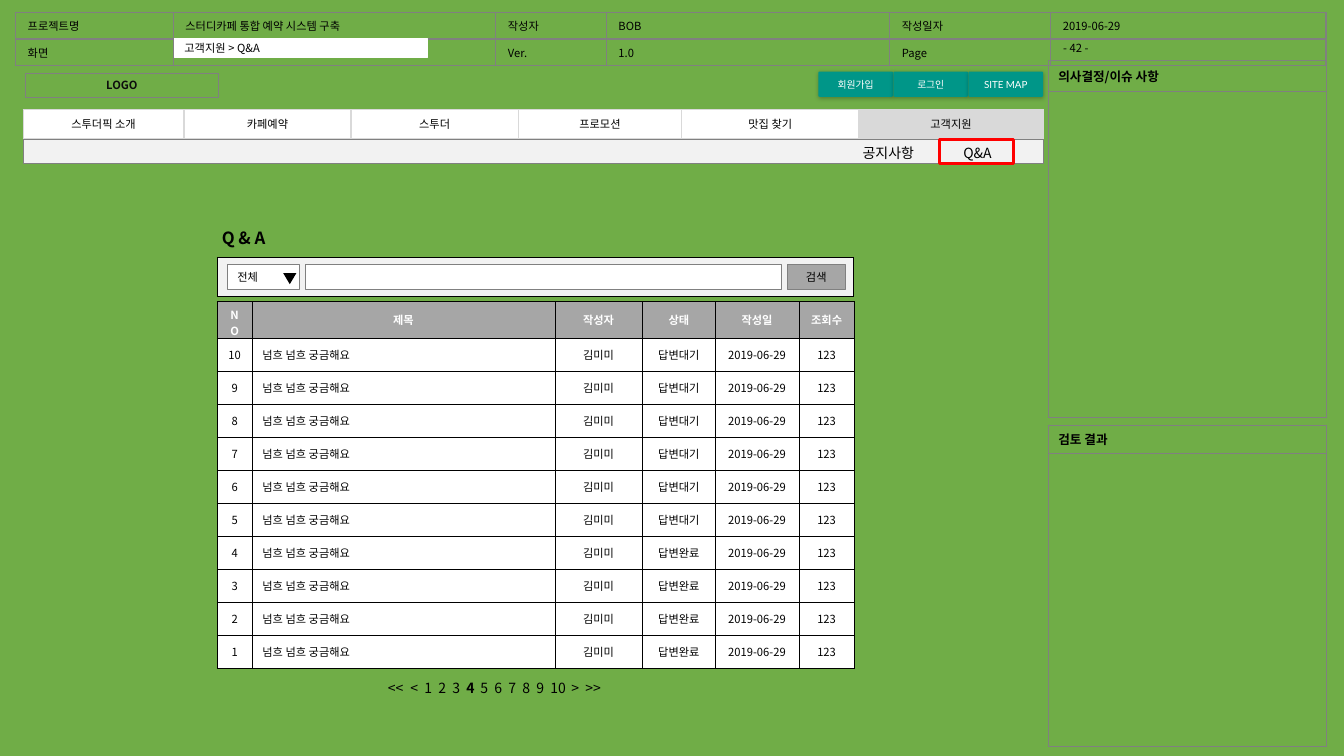
from lxml import etree
from pptx import Presentation
from pptx.dml.color import RGBColor
from pptx.enum.shapes import MSO_SHAPE as Shape
from pptx.enum.text import MSO_ANCHOR as Anchor, PP_ALIGN as Align
from pptx.oxml import parse_xml
from pptx.oxml.ns import nsdecls, qn
from pptx.util import Pt

BLACK = RGBColor(0x00, 0x00, 0x00)
INK = RGBColor(0x0D, 0x0D, 0x0D)
WHITE = RGBColor(0xFF, 0xFF, 0xFF)
GREEN = RGBColor(0x70, 0xAD, 0x47)
TEAL = RGBColor(0x00, 0x96, 0x88)
RED = RGBColor(0xFF, 0x00, 0x00)
GRAY = RGBColor(0x80, 0x80, 0x80)
MID_GRAY = RGBColor(0xA6, 0xA6, 0xA6)
LIGHT_GRAY = RGBColor(0xD9, 0xD9, 0xD9)
PALE_GRAY = RGBColor(0xF2, 0xF2, 0xF2)

KOREAN = "Noto Sans CJK KR"
LATIN = "Lato"


def write(frame, text, size=8, color=BLACK, bold=False, font=KOREAN, align=Align.LEFT,
          anchor=Anchor.TOP, margins=(7.2, 3.6), wrap=True, tabs=(), strong=None):
    frame.word_wrap = wrap
    frame.vertical_anchor = anchor
    frame.margin_left = frame.margin_right = Pt(margins[0])
    frame.margin_top = frame.margin_bottom = Pt(margins[1])
    paragraph = frame.paragraphs[0]
    paragraph.alignment = align
    if tabs:
        stops = etree.SubElement(paragraph._p.get_or_add_pPr(), qn("a:tabLst"))
        for stop in tabs:
            etree.SubElement(stops, qn("a:tab"), pos=str(int(Pt(stop))), algn="l")
    if not text:
        etree.SubElement(paragraph._p, qn("a:endParaRPr"), sz=str(size * 100))
        return
    before, found, after = text.partition(strong) if strong else (text, "", "")
    for part, is_bold in ((before, bold), (found, True), (after, bold)):
        if part:
            run = paragraph.add_run()
            run.text = part
            run.font.size = Pt(size)
            run.font.bold = is_bold
            run.font.name = font
            run.font.color.rgb = color
            etree.SubElement(run._r.get_or_add_rPr(), qn("a:ea"), typeface=KOREAN)


class Screen:
    def __init__(self, deck, background):
        self.slide = deck.slides.add_slide(deck.slide_layouts[5])
        self.slide.background.fill.solid()
        self.slide.background.fill.fore_color.rgb = background

    def title(self, text, left, top, width, height, **style):
        heading = self.slide.shapes.title
        heading.left, heading.top, heading.width, heading.height = map(
            Pt, (left, top, width, height))
        write(heading.text_frame, text, **style)

    def text(self, text, left, top, width, height, **style):
        box = self.slide.shapes.add_textbox(*map(Pt, (left, top, width, height)))
        write(box.text_frame, text, **style)

    def shape(self, left, top, width, height, text="", kind=Shape.RECTANGLE,
              fill=None, line=None, weight=0.75, **style):
        item = self.slide.shapes.add_shape(kind, *map(Pt, (left, top, width, height)))
        item.shadow.inherit = False
        if fill is None:
            item.fill.background()
        else:
            item.fill.solid()
            item.fill.fore_color.rgb = fill
        if line is None:
            item.line.fill.background()
        else:
            item.line.color.rgb = line
            item.line.width = Pt(weight)
        if text:
            write(item.text_frame, text, **style)
        return item

    def button(self, text, left, top, width, height):
        item = self.shape(left, top, width, height, text, Shape.ROUNDED_RECTANGLE, TEAL,
                          size=7, font=LATIN, color=WHITE, align=Align.CENTER,
                          anchor=Anchor.MIDDLE, margins=(5.76, 3.6))
        item.adjustments[0] = 0.05
        effects = item._element.spPr.find(qn("a:effectLst"))
        effects.append(parse_xml(
            f'<a:outerShdw {nsdecls("a")} blurRad="{int(Pt(3))}" dist="{int(Pt(1))}" '
            'dir="5400000" algn="t" rotWithShape="0"><a:srgbClr val="000000">'
            '<a:alpha val="25000"/></a:srgbClr></a:outerShdw>'))

    def table(self, rows, left, top, widths, heights, border, weight, cell_style):
        frame = self.slide.shapes.add_table(
            len(rows), len(widths), Pt(left), Pt(top), Pt(sum(widths)), Pt(sum(heights)))
        grid = frame.table
        grid.first_row = grid.horz_banding = False
        for column, width in zip(grid.columns, widths):
            column.width = Pt(width)
        for r, (texts, height) in enumerate(zip(rows, heights)):
            grid.rows[r].height = Pt(height)
            for c, text in enumerate(texts):
                cell = grid.cell(r, c)
                style = dict(cell_style(r, c))
                fill = style.pop("fill", None)
                anchor = style.pop("anchor", Anchor.MIDDLE)
                margins = style.pop("margins", (7.2, 3.6))
                write(cell.text_frame, text, **style)
                cell.vertical_anchor = anchor
                cell.margin_left = cell.margin_right = Pt(margins[0])
                cell.margin_top = cell.margin_bottom = Pt(margins[1])
                if fill is None:
                    cell.fill.background()
                else:
                    cell.fill.solid()
                    cell.fill.fore_color.rgb = fill
                self.outline(cell, border, weight)

    def outline(self, cell, color, weight):
        properties = cell._tc.get_or_add_tcPr()
        for index, side in enumerate("LRTB"):
            properties.insert(index, parse_xml(
                f'<a:ln{side} {nsdecls("a")} w="{int(Pt(weight))}"><a:solidFill>'
                f'<a:srgbClr val="{color}"/></a:solidFill></a:ln{side}>'))


def main():
    deck = Presentation()
    deck.slide_width, deck.slide_height = Pt(960), Pt(540)
    screen = Screen(deck, GREEN)

    project = [["프로젝트명", "스터디카페 통합 예약 시스템 구축", "작성자", "BOB", "작성일자", "2019-06-29"],
               ["화면", "", "Ver.", "1.0", "Page", ""]]
    screen.table(project, 11.2, 9, [112.6, 230.4, 79, 202.4, 115, 196.6], [17, 17], GRAY, 1,
                 lambda r, c: dict(anchor=Anchor.TOP, margins=(8.64, 3.6)))
    screen.text("- 42 -", 752.4, 25.9, 77, 17.3)

    for note, top, heights in (("의사결정/이슈 사항", 43.2, [22, 233]),
                               ("검토 결과", 303.8, [20, 209.6])):
        screen.table([[note], [""]], 748.8, top, [198.7], heights, GRAY, 1,
                     lambda r, c: dict(size=9, bold=True))

    for index, label in enumerate(("회원가입", "로그인", "SITE MAP")):
        screen.button(label, 584.6 + 53.6 * index, 51.1, 53.3, 18)

    menu = ["스투더픽 소개", "카페예약", "스투더", "프로모션", "맛집 찾기", "고객지원"]
    screen.table([menu], 16.6, 78.5, [114.8, 119.4, 119.4, 116.8, 126.7, 131.5], [20.2],
                 LIGHT_GRAY, 1,
                 lambda r, c: dict(fill=LIGHT_GRAY if menu[c] == "고객지원" else WHITE,
                                   align=Align.CENTER, margins=(8.64, 3.6)))
    screen.shape(18, 52.6, 138.2, 17.3, "LOGO", line=GRAY, color=INK, bold=True,
                 align=Align.CENTER)

    screen.title("Q & A", 151.2, 159.1, 51.8, 21.6, size=12, bold=True, wrap=False)
    questions = [["NO", "제목", "작성자", "상태", "작성일", "조회수"]]
    for number in range(10, 0, -1):
        status = "답변대기" if number > 4 else "답변완료"
        questions.append([str(number), "넘흐 넘흐 궁금해요", "김미미", status, "2019-06-29", "123"])

    def question_style(r, c):
        if r == 0:
            return dict(fill=MID_GRAY, color=WHITE, bold=True, align=Align.CENTER)
        return dict(fill=WHITE, align=Align.LEFT if c == 1 else Align.CENTER)

    screen.table(questions, 155, 215.3, [25.2, 216, 62.8, 52, 59.6, 39.8],
                 [26.4] + [23.6] * 10, BLACK, 0.25, question_style)
    pages = ["<<", "<", *map(str, range(1, 11)), ">", ">>"]
    screen.text("\t".join(pages), 270, 481.7, 210.2, 19.4, size=10, strong="4",
                tabs=[16 + 10 * step for step in range(11)] + [131, 141])

    screen.table([[""]], 155, 183.6, [454.3], [28.1], BLACK, 0.25,
                 lambda r, c: dict(fill=PALE_GRAY))
    screen.shape(162.4, 189, 51.4, 17.6, "전체", fill=WHITE, line=GRAY, anchor=Anchor.MIDDLE)
    arrow = screen.shape(202.3, 195.1, 9.4, 7.9, kind=Shape.ISOSCELES_TRIANGLE, fill=BLACK)
    arrow.rotation = 180
    screen.shape(218, 189, 340, 17.6, fill=WHITE, line=GRAY)
    screen.shape(562.2, 189, 41.8, 17.6, "검색", fill=MID_GRAY, line=GRAY,
                 align=Align.CENTER, anchor=Anchor.MIDDLE)

    screen.shape(124.6, 27.4, 180.7, 13.7, "고객지원 > Q&A", fill=WHITE, line=WHITE,
                 weight=1, anchor=Anchor.MIDDLE)
    screen.shape(16.6, 99.4, 728.6, 17.3, fill=PALE_GRAY, line=GRAY, weight=0.5)
    screen.text("공지사항\tQ&A", 609.1, 99.4, 110.2, 19.4, size=10, wrap=False, tabs=[72])
    screen.shape(671, 99.4, 53.3, 17.3, line=RED, weight=2.25)

    deck.save("out.pptx")


if __name__ == "__main__":
    main()
